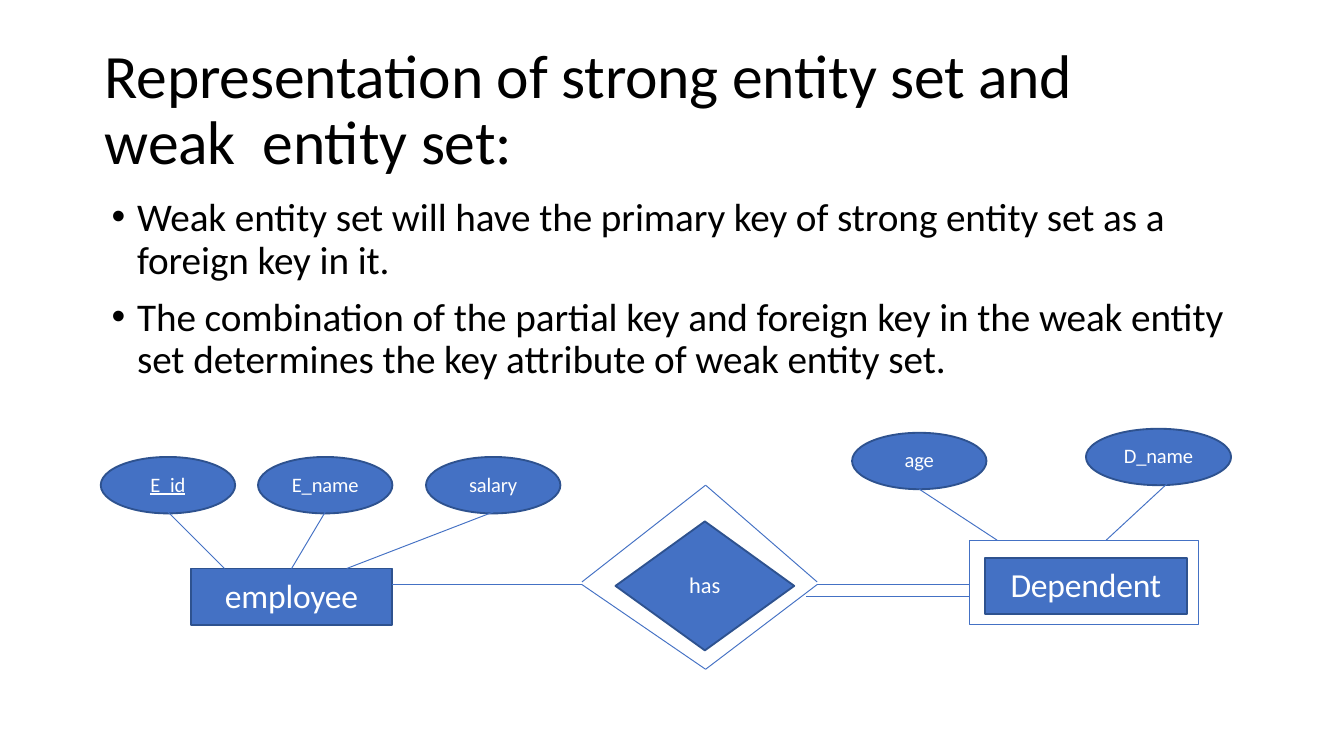
from lxml import etree
from pptx import Presentation
from pptx.dml.color import RGBColor
from pptx.enum.shapes import MSO_CONNECTOR, MSO_SHAPE
from pptx.enum.text import MSO_ANCHOR, PP_ALIGN
from pptx.oxml.ns import qn
from pptx.util import Inches, Pt

BLACK = RGBColor(0x00, 0x00, 0x00)
WHITE = RGBColor(0xFF, 0xFF, 0xFF)
BLUE = RGBColor(0x44, 0x71, 0xC4)
DARK_BLUE = RGBColor(0x2E, 0x52, 0x8F)
STRAIGHT = MSO_CONNECTOR.STRAIGHT
OVAL, RECTANGLE, DIAMOND = MSO_SHAPE.OVAL, MSO_SHAPE.RECTANGLE, MSO_SHAPE.DIAMOND
LEFT, CENTER = PP_ALIGN.LEFT, PP_ALIGN.CENTER
TOP, MIDDLE = MSO_ANCHOR.TOP, MSO_ANCHOR.MIDDLE


def write(frame, paragraphs, size, color=WHITE, align=CENTER, anchor=MIDDLE, wrap=False,
          underline=False, line_spacing=None, before=(0,), bullet=False,
          inset_top=0, inset_bottom=0, tracking=-10):
    """Fill a text frame; before holds the space above each paragraph in points."""
    frame.margin_left = frame.margin_right = 0
    frame.margin_top, frame.margin_bottom = Inches(inset_top), Inches(inset_bottom)
    frame.word_wrap = wrap
    frame.vertical_anchor = anchor
    for index, (words, space) in enumerate(zip(paragraphs, before)):
        paragraph = frame.add_paragraph() if index else frame.paragraphs[0]
        paragraph.alignment = align
        paragraph.space_before = Pt(space)
        if line_spacing:
            paragraph.line_spacing = Pt(line_spacing)
        if bullet:
            properties = paragraph._p.get_or_add_pPr()
            properties.set("marL", str(Inches(0.2)))
            properties.set("indent", str(Inches(-0.19)))
            etree.SubElement(properties, qn("a:buFont")).set("typeface", "Arial")
            etree.SubElement(properties, qn("a:buChar")).set("char", "•")
        run = paragraph.add_run()
        run.text = words
        run.font.name = "Calibri"
        run.font.size = Pt(size)
        run.font.color.rgb = color
        if underline:
            run.font.underline = True
        run._r.get_or_add_rPr().set("spc", str(tracking))


class Diagram:
    """Style and slide of an entity-relationship diagram."""

    thin, outline = Pt(0.5), Pt(1)
    node_height = 0.42

    def __init__(self, slide):
        self.slide = slide

    def text(self, left, top, width, height, paragraphs, **style):
        box = self.slide.shapes.add_textbox(Inches(left), Inches(top), Inches(width), Inches(height))
        write(box.text_frame, paragraphs, color=BLACK, align=LEFT, anchor=TOP, wrap=True, **style)

    def node(self, kind, left, top, width, label, size, height=node_height, lift=0.02, **style):
        """Filled shape whose label sits slightly above the middle."""
        shape = self.slide.shapes.add_shape(
            kind, Inches(left), Inches(top), Inches(width), Inches(height))
        shape.shadow.inherit = False
        shape.fill.solid()
        shape.fill.fore_color.rgb = BLUE
        shape.line.color.rgb = DARK_BLUE
        shape.line.width = self.outline
        write(shape.text_frame, [label], size, inset_bottom=lift, **style)

    def entity(self, left, top, label):
        self.node(RECTANGLE, left, top, 1.5, label, 18, lift=0.03)

    def attribute(self, left, top, label, width=1, key=False):
        self.node(OVAL, left, top, width, label, 11, underline=key)

    def frame(self, left, top, width, height):
        """Outer border that marks a weak entity set."""
        shape = self.slide.shapes.add_shape(
            RECTANGLE, Inches(left), Inches(top), Inches(width), Inches(height))
        shape.shadow.inherit = False
        shape.fill.background()
        shape.line.color.rgb = BLUE
        shape.line.width = self.thin

    def line(self, x1, y1, x2, y2):
        connector = self.slide.shapes.add_connector(
            STRAIGHT, Inches(x1), Inches(y1), Inches(x2), Inches(y2))
        connector.line.color.rgb = BLUE
        connector.line.width = self.thin
        etree.SubElement(connector._element.spPr, qn("a:effectLst"))


def main():
    deck = Presentation()
    deck.slide_width = Inches(10)
    deck.slide_height = deck.slide_width * 9 // 16
    diagram = Diagram(deck.slides.add_slide(deck.slide_layouts[6]))

    diagram.text(0.78, 0.25, 8.2, 1.07,
                 ["Representation of strong entity set and weak  entity set:"],
                 size=33, line_spacing=35.6, before=(5.5,), inset_top=0.08)
    diagram.text(0.82, 1.42, 8.35, 1.43,
                 ["Weak entity set will have the primary key of strong entity set as a foreign key in it.",
                  "The combination of the partial key and foreign key in the weak entity set "
                  "determines the key attribute of weak entity set."],
                 size=21, line_spacing=22.7, before=(3.8, 7.9), bullet=True,
                 inset_top=0.05, tracking=-5)

    employee_top = 4.23
    diagram.entity(1.42, employee_top, "employee")
    employee_attributes = [("E_id", 0.75, 1.67), ("E_name", 1.92, 2.17), ("salary", 3.17, 2.58)]
    for label, left, entity_x in employee_attributes:
        diagram.attribute(left, 3.4, label, key=label == "E_id")
        diagram.line(left + 0.5, 3.81, entity_x, employee_top)

    frame_left, frame_top = 7.21, 4.02
    diagram.entity(7.33, 4.15, "Dependent")
    diagram.frame(frame_left, frame_top, 1.71, 0.63)
    diagram.attribute(6.34, 3.22, "age")
    diagram.line(6.84, 3.64, 7.42, frame_top)
    diagram.attribute(8.08, 3.19, "D_name", width=1.08)
    diagram.line(8.77, 3.52, 8.23, frame_top)

    diagram.node(DIAMOND, 4.58, 3.88, 1.33, "has", 12, height=0.96, tracking=0)
    west, center, east, middle = 4.33, 5.25, 6.08, 4.35
    for side in (west, east):
        diagram.line(side, middle - 0.02, center, 3.61)
        diagram.line(side, middle, center, 4.98)

    diagram.line(2.92, middle, west, middle)
    diagram.line(east, middle, frame_left, middle)
    diagram.line(6, 4.44, frame_left, 4.44)

    deck.save("out.pptx")


if __name__ == "__main__":
    main()
